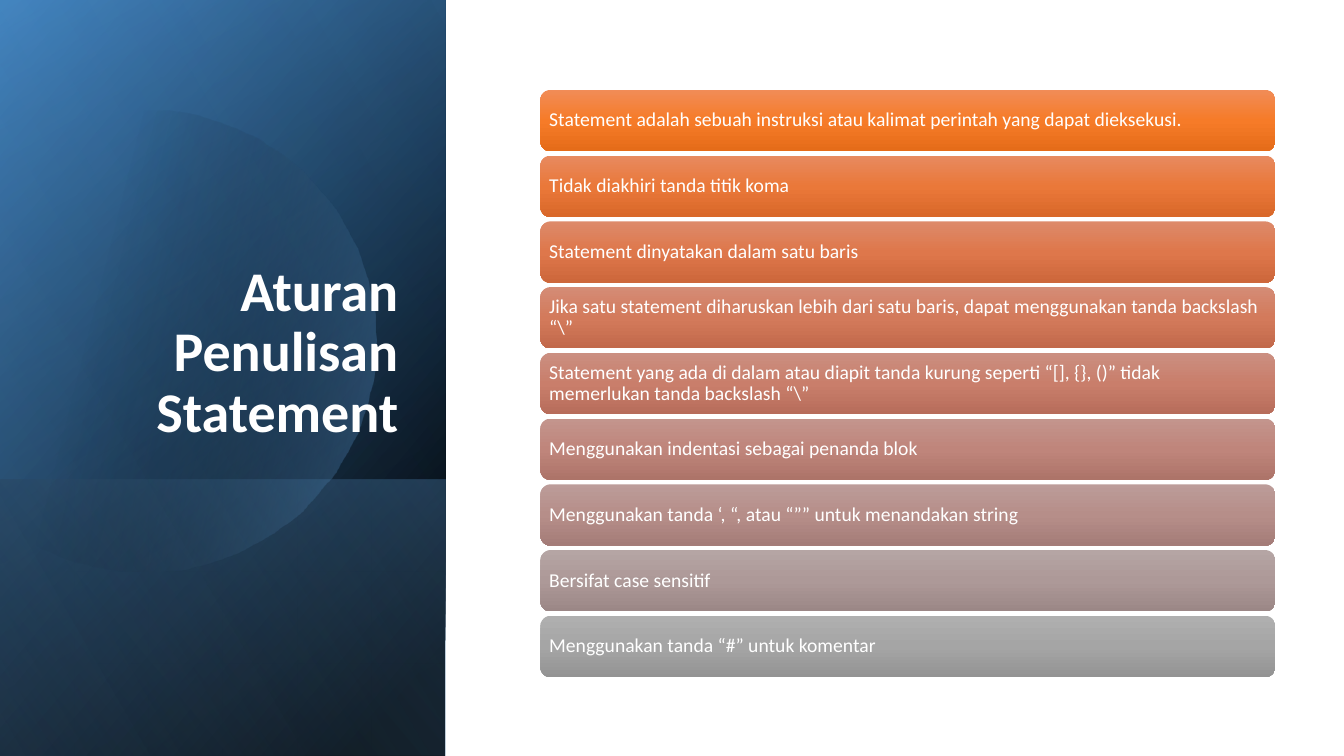
from math import acos, cos, degrees, radians, sin

from lxml.etree import SubElement
from pptx import Presentation
from pptx.dml.color import RGBColor
from pptx.enum.shapes import MSO_SHAPE
from pptx.enum.text import MSO_ANCHOR, PP_ALIGN
from pptx.oxml.ns import qn
from pptx.util import Pt

RULES = [
    ("Statement adalah sebuah instruksi atau kalimat perintah yang dapat dieksekusi.",
     ("F18C57", "F67B28", "E56C19")),
    ("Tidak diakhiri tanda titik koma", ("E78A60", "EA7839", "D9682A")),
    ("Statement dinyatakan dalam satu baris", ("DD8A6A", "DE774B", "CD673B")),
    ("Jika satu statement diharuskan lebih dari satu baris, dapat menggunakan tanda backslash “\\”",
     ("D48C76", "D37A5B", "C2694B")),
    ("Statement yang ada di dalam atau diapit tanda kurung seperti “[], {}, ()” tidak "
     "memerlukan tanda backslash “\\”", ("CB8F81", "C97E6B", "B76D5B")),
    ("Menggunakan indentasi sebagai penanda blok", ("C3958D", "BF857B", "AD7469")),
    ("Menggunakan tanda ‘, “, atau “”” untuk menandakan string", ("BC9C99", "B68E89", "A47C78")),
    ("Bersifat case sensitif", ("B5A5A4", "AD9998", "9B8786")),
    ("Menggunakan tanda “#” untuk komentar", ("AFAFAF", "A5A5A5", "939393")),
]


def color(value):
    """Turn a hex string into a colour."""
    return RGBColor.from_string(value)


def paint(shape, stops, angle):
    """Fill a shape with gradient stops of position, colour and opacity in percent."""
    shape.shadow.inherit = False
    shape.line.fill.background()
    shape.fill.gradient()
    gradient = shape.fill._xPr.find(qn("a:gradFill"))
    stop_list = gradient.find(qn("a:gsLst"))
    for old_stop in list(stop_list):
        stop_list.remove(old_stop)
    for position, value, opacity in stops:
        stop = SubElement(stop_list, qn("a:gs"), pos=str(position * 1000))
        tint = SubElement(stop, qn("a:srgbClr"), val=value)
        if opacity < 100:
            SubElement(tint, qn("a:alpha"), val=str(opacity * 1000))
    gradient.find(qn("a:lin")).set("ang", str(angle * 60000))


def write(shape, text, size, bold=False, align=PP_ALIGN.LEFT, anchor=MSO_ANCHOR.MIDDLE,
          inset=(7.2, 3.6)):
    """Set one formatted paragraph in a shape."""
    frame = shape.text_frame
    frame.word_wrap = True
    frame.vertical_anchor = anchor
    frame.margin_left = frame.margin_right = Pt(inset[0])
    frame.margin_top = frame.margin_bottom = Pt(inset[1])
    paragraph = frame.paragraphs[0]
    paragraph.alignment = align
    paragraph.line_spacing = 0.9
    run = paragraph.add_run()
    run.text = text
    run.font.name = "Calibri"
    run.font.size = Pt(size)
    run.font.bold = bold
    run.font.color.rgb = color("FFFFFF")


def add_layer(slide, x, y, width, height, stops, angle):
    """Cover a box with a mirrored rectangle turned by a quarter."""
    shift = (width - height) / 2
    layer = slide.shapes.add_shape(
        MSO_SHAPE.RECTANGLE, Pt(x + shift), Pt(y - shift), Pt(height), Pt(width))
    layer.rotation = 90
    layer._element.spPr.find(qn("a:xfrm")).set("flipH", "1")
    paint(layer, stops, angle)


def add_disc(slide, x, center_x, center_y, radius):
    """Draw a translucent disc cut off at the left edge x."""
    limit = degrees(acos((x - center_x) / radius))
    steps = 120
    angles = [radians(limit * (2 * step / steps - 1)) for step in range(steps + 1)]
    points = [(center_x + radius * cos(a), center_y + radius * sin(a)) for a in angles]
    builder = slide.shapes.build_freeform(*points[0], scale=Pt(1))
    builder.add_line_segments(points[1:], close=True)
    paint(builder.convert_to_shape(), [(29, "000000", 0), (100, "5B9BD5", 43)], 14)


def add_title_panel(slide, x, y, width, height):
    """Build the blue panel with its disc and title."""
    add_layer(slide, x, y, width, height, [(8, "000000", 100), (100, "2E75B6", 100)], 50)
    add_layer(slide, x, y, width, height, [(0, "000000", 0), (99, "5B9BD5", 46)], 30)
    base = 197.3
    add_layer(slide, x, y + height - base, width, base,
              [(2, "5B9BD5", 29), (100, "000000", 30)], 130)
    add_disc(slide, x, x + 103.7, y + 243.4, 164.9)
    add_layer(slide, x, y, width, height, [(0, "000000", 0), (99, "9DC3E6", 11)], 120)
    title = slide.shapes.add_textbox(Pt(x + 46), Pt(y + 132.5), Pt(245.5), Pt(188.6))
    write(title, "Aturan Penulisan Statement", 40, bold=True, align=PP_ALIGN.RIGHT,
          anchor=MSO_ANCHOR.BOTTOM)


def add_rules(slide, x, y, width, height, gap=3.1):
    """Stack the rules as equal rounded bars in a box."""
    bar_height = (height - gap * (len(RULES) - 1)) / len(RULES)
    for index, (rule, shades) in enumerate(RULES):
        bar = slide.shapes.add_shape(
            MSO_SHAPE.ROUNDED_RECTANGLE, Pt(x), Pt(y + index * (bar_height + gap)),
            Pt(width), Pt(bar_height))
        paint(bar, [(position, shade, 100) for position, shade in zip((0, 50, 100), shades)], 90)
        write(bar, rule, 14, inset=(4.2, 4.2))


def main():
    """Build and save the slide."""
    deck = Presentation()
    deck.slide_width, deck.slide_height = Pt(960), Pt(540)
    slide = deck.slides.add_slide(deck.slide_layouts[6])
    add_title_panel(slide, 0, 0, 318.2, 540)
    add_rules(slide, 386, 64.2, 525, 419.5)
    deck.save("out.pptx")


if __name__ == "__main__":
    main()
